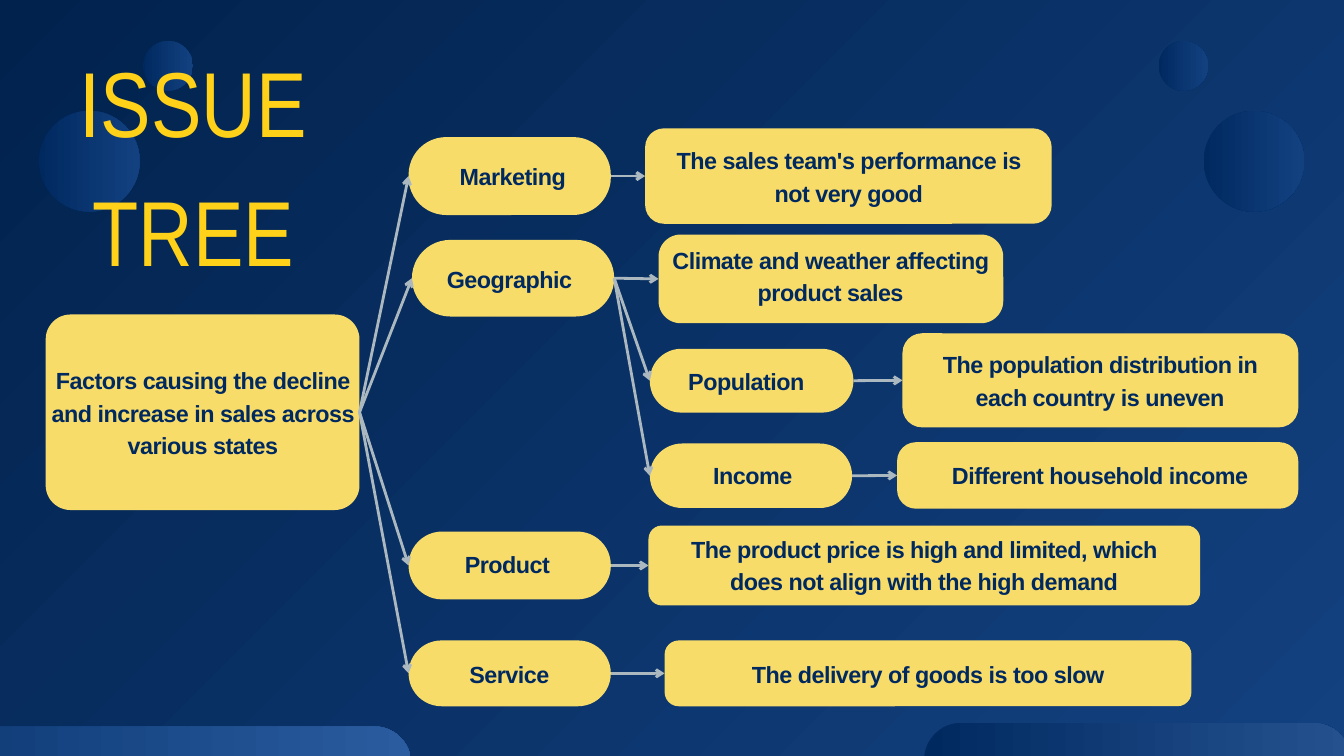
"""Build an issue tree slide on the causes of changing sales across states."""
import dataclasses
import typing

import lxml.etree
import pptx
import pptx.dml.color
import pptx.dml.fill
import pptx.enum.shapes
import pptx.enum.text
import pptx.oxml.ns
import pptx.shapes.autoshape
import pptx.slide
import pptx.util

EMU_PER_PX = 9144
RGB = pptx.dml.color.RGBColor
SHAPE = pptx.enum.shapes.MSO_SHAPE


@dataclasses.dataclass(frozen=True)
class Theme:
    night: RGB = RGB.from_string("01224D")
    navy: RGB = RGB.from_string("002960")
    blue: RGB = RGB.from_string("134180")
    steel: RGB = RGB.from_string("25528F")
    azure: RGB = RGB.from_string("2A5C9F")
    sand: RGB = RGB.from_string("F8DC6A")
    gold: RGB = RGB.from_string("FFD118")
    branch: RGB = RGB.from_string("ACB8C0")
    label_size: float = 25
    label_spacing: float = 35
    title_size: float = 98.8
    title_spacing: float = 138.3
    branch_width: float = 3


THEME = Theme()

LABEL_FONT = {"name": "Arial", "size": pptx.util.Pt(THEME.label_size), "bold": True}
TITLE_FONT = {"name": "Arial Narrow", "size": pptx.util.Pt(THEME.title_size), "bold": False}
FRAME_FORMAT = {
    "margin_left": 0, "margin_top": 0, "margin_right": 0, "margin_bottom": 0,
    "word_wrap": True,
    "vertical_anchor": pptx.enum.text.MSO_ANCHOR.TOP,
    "auto_size": pptx.enum.text.MSO_AUTO_SIZE.SHAPE_TO_FIT_TEXT,
}


class Box(typing.NamedTuple):
    left: int
    top: int
    width: int
    height: int

    def emu(self) -> list[int]:
        return [side * EMU_PER_PX for side in self]


class Ornament(typing.NamedTuple):
    box: Box
    outline: SHAPE
    glow: RGB


class Node(typing.NamedTuple):
    text: str
    box: Box
    label: Box
    radius: int
    parent: str = ""


ORNAMENTS = [
    Ornament(Box(1375, 1076, 635, 110), SHAPE.ROUNDED_RECTANGLE, THEME.steel),
    Ornament(Box(-443, 1081, 1055, 110), SHAPE.ROUNDED_RECTANGLE, THEME.azure),
    Ornament(Box(58, 165, 150, 150), SHAPE.OVAL, THEME.blue),
    Ornament(Box(213, 61, 74, 74), SHAPE.OVAL, THEME.blue),
    Ornament(Box(1791, 165, 150, 150), SHAPE.OVAL, THEME.blue),
    Ornament(Box(1724, 61, 74, 74), SHAPE.OVAL, THEME.blue),
]

FACTORS = "Factors causing the decline and increase in sales across various states"

NODES = [
    Node(FACTORS, Box(68, 468, 467, 291), Box(74, 538, 456, 151), 37),
    Node("Marketing", Box(608, 204, 301, 116), Box(537, 235, 452, 49), 56, FACTORS),
    Node("Geographic", Box(613, 357, 301, 114), Box(532, 388, 452, 49), 57, FACTORS),
    Node("Product", Box(608, 791, 301, 101), Box(529, 812, 452, 49), 50, FACTORS),
    Node("Service", Box(608, 953, 301, 98), Box(532, 975, 452, 49), 49, FACTORS),
    Node("The sales team's performance is not very good",
         Box(960, 191, 605, 142), Box(999, 211, 528, 100), 28, "Marketing"),
    Node("Climate and weather affecting product sales",
         Box(980, 349, 513, 132), Box(996, 359, 480, 100), 33, "Geographic"),
    Node("Population", Box(967, 519, 303, 95), Box(992, 539, 237, 49), 47, "Geographic"),
    Node("Income", Box(967, 660, 301, 96), Box(1025, 680, 190, 49), 48, "Geographic"),
    Node("The population distribution in each country is uneven",
         Box(1343, 496, 589, 140), Box(1386, 514, 502, 100), 29, "Population"),
    Node("Different household income",
         Box(1335, 658, 597, 99), Box(1386, 680, 502, 49), 28, "Income"),
    Node("The product price is high and limited, which does not align with the high demand",
         Box(965, 782, 821, 119), Box(1023, 789, 704, 100), 20, "Product"),
    Node("The delivery of goods is too slow",
         Box(989, 953, 784, 98), Box(1029, 975, 704, 49), 21, "Service"),
]


def apply(target: object, values: dict[str, typing.Any]) -> None:
    for attribute, value in values.items():
        setattr(target, attribute, value)


def shade(fill: pptx.dml.fill.FillFormat, start: RGB, end: RGB, angle: int) -> None:
    fill.gradient()
    fill.gradient_angle = angle
    for stop, color in zip(fill.gradient_stops, (start, end)):
        stop.color.rgb = color


def draw_ornament(slide: pptx.slide.Slide, ornament: Ornament) -> None:
    body = slide.shapes.add_shape(ornament.outline, *ornament.box.emu())
    if ornament.outline == SHAPE.ROUNDED_RECTANGLE:
        body.adjustments[0] = 0.5
    body.shadow.inherit = False
    body.line.fill.background()
    shade(body.fill, THEME.navy, ornament.glow, 0)


def draw_panel(slide: pptx.slide.Slide, node: Node) -> pptx.shapes.autoshape.Shape:
    panel = slide.shapes.add_shape(SHAPE.ROUNDED_RECTANGLE, *node.box.emu())
    panel.adjustments[0] = min(0.5, node.radius / node.box.height)
    panel.shadow.inherit = False
    panel.line.fill.background()
    panel.fill.solid()
    panel.fill.fore_color.rgb = THEME.sand
    return panel


def draw_branch(slide: pptx.slide.Slide, parent: pptx.shapes.autoshape.Shape,
                child: pptx.shapes.autoshape.Shape) -> None:
    branch = slide.shapes.add_connector(pptx.enum.shapes.MSO_CONNECTOR.STRAIGHT, 0, 0, 0, 0)
    branch.begin_connect(parent, 3)
    branch.end_connect(child, 1)
    branch.line.color.rgb = THEME.branch
    branch.line.width = pptx.util.Pt(THEME.branch_width)
    properties = branch._element.spPr
    stroke = properties.find(pptx.oxml.ns.qn("a:ln"))
    lxml.etree.SubElement(stroke, pptx.oxml.ns.qn("a:tailEnd"), type="arrow")
    lxml.etree.SubElement(properties, pptx.oxml.ns.qn("a:effectLst"))


def draw_text(slide: pptx.slide.Slide, text: str, box: Box, font: dict[str, typing.Any],
              color: RGB, spacing: float, tracking: int = 0) -> None:
    frame = slide.shapes.add_textbox(*box.emu()).text_frame
    apply(frame, FRAME_FORMAT)
    paragraph = frame.paragraphs[0]
    apply(paragraph, {"alignment": pptx.enum.text.PP_ALIGN.CENTER,
                      "line_spacing": pptx.util.Pt(spacing)})
    run = paragraph.add_run()
    run.text = text
    apply(run.font, font)
    run.font.color.rgb = color
    if tracking:
        run._r.get_or_add_rPr().set("spc", str(tracking))


def main() -> None:
    deck = pptx.Presentation()
    apply(deck, {"slide_width": 2000 * EMU_PER_PX, "slide_height": 1125 * EMU_PER_PX})
    slide = deck.slides.add_slide(deck.slide_layouts[6])
    shade(slide.background.fill, THEME.night, THEME.blue, 315)
    for ornament in ORNAMENTS:
        draw_ornament(slide, ornament)
    panels = {node.text: draw_panel(slide, node) for node in NODES}
    for node in NODES:
        if node.parent:
            draw_branch(slide, panels[node.parent], panels[node.text])
    for node in NODES:
        draw_text(slide, node.text, node.label, LABEL_FONT, THEME.navy,
                  THEME.label_spacing, tracking=-50)
    draw_text(slide, "ISSUE TREE", Box(80, 40, 415, 185), TITLE_FONT, THEME.gold,
              THEME.title_spacing)
    deck.save("out.pptx")


if __name__ == "__main__":
    main()
